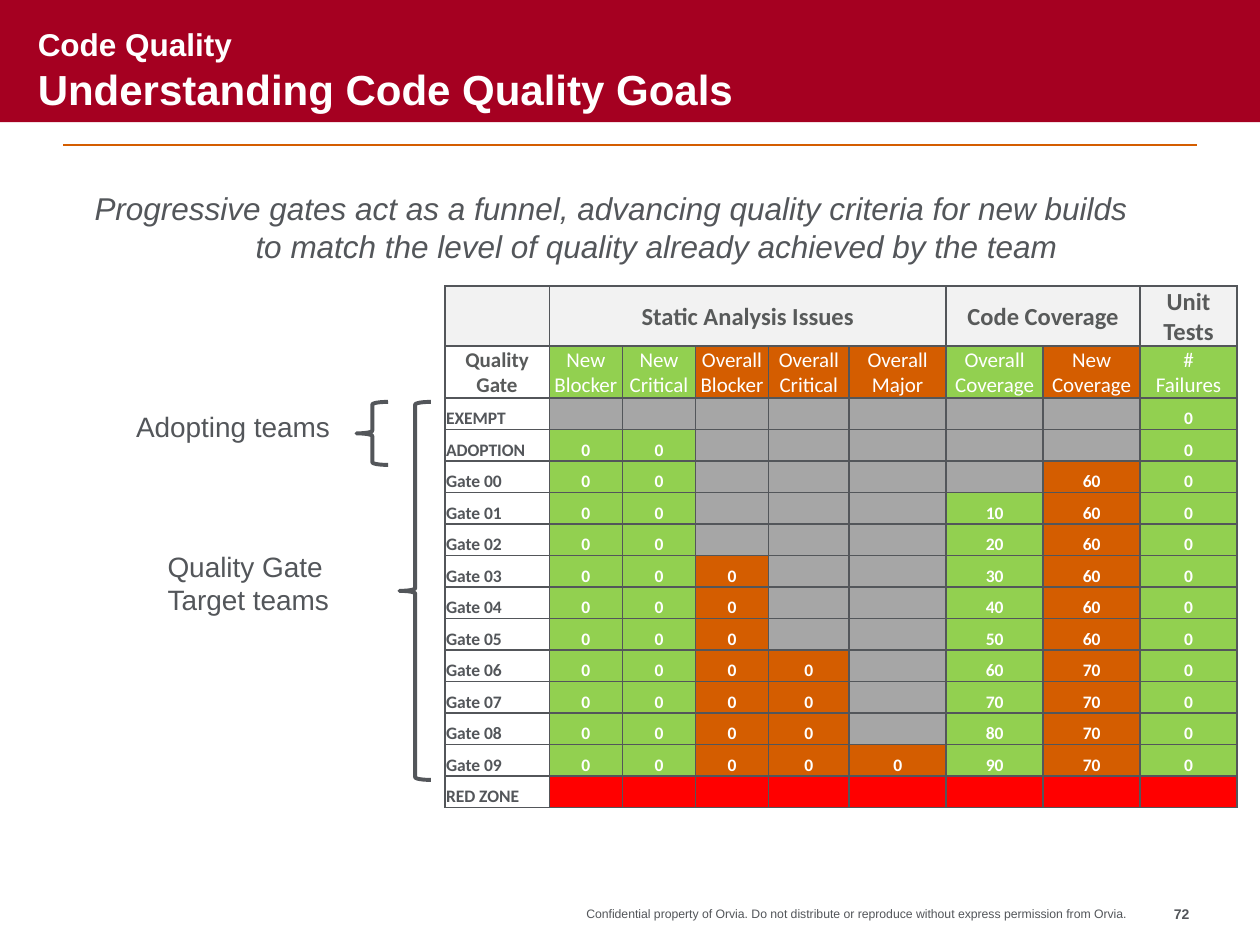
from lxml.etree import SubElement
from pptx import Presentation
from pptx.dml.color import RGBColor
from pptx.enum.shapes import MSO_CONNECTOR, MSO_SHAPE
from pptx.enum.text import MSO_ANCHOR, PP_ALIGN
from pptx.oxml.ns import qn
from pptx.util import Inches, Pt

CRIMSON = RGBColor(0xA5, 0x00, 0x21)
ORANGE = RGBColor(0xD4, 0x5D, 0x00)
GREEN = RGBColor(0x92, 0xD0, 0x50)
RED = RGBColor(0xFF, 0x00, 0x00)
GREY = RGBColor(0xA6, 0xA6, 0xA6)
PALE = RGBColor(0xF2, 0xF2, 0xF2)
WHITE = RGBColor(0xFF, 0xFF, 0xFF)
SLATE = RGBColor(0x53, 0x56, 0x5A)
HEADING = RGBColor(0x58, 0x5A, 0x5A)

COLUMN_WIDTHS = [0.83, 0.58, 0.58, 0.58, 0.64, 0.77, 0.77, 0.77, 0.77]
GROUPS = [(0, 0, ""), (1, 5, "Static Analysis Issues"), (6, 7, "Code Coverage"), (8, 8, "Unit Tests")]
CRITERIA = [
    ("New\nBlocker", GREEN), ("New\nCritical", GREEN), ("Overall\nBlocker", ORANGE),
    ("Overall\nCritical", ORANGE), ("Overall\nMajor", ORANGE), ("Overall\nCoverage", GREEN),
    ("New Coverage", ORANGE), ("#\nFailures", GREEN),
]
LEVELS = ["EXEMPT", "ADOPTION"] + [f"Gate {number:02d}" for number in range(10)]
GOALS = [
    [None] + [0] * 11,
    [None] + [0] * 11,
    [None] * 5 + [0] * 7,
    [None] * 8 + [0] * 4,
    [None] * 11 + [0],
    [None] * 3 + list(range(10, 100, 10)),
    [None] * 2 + [60] * 6 + [70] * 4,
    [0] * 12,
]


def write_text(frame, text, size, color=SLATE, font="Arial", bold=False, italic=False,
               align=PP_ALIGN.LEFT):
    frame.text = text
    for paragraph in frame.paragraphs:
        paragraph.alignment = align
        for run in paragraph.runs:
            run.font.size = Pt(size)
            run.font.name = font
            run.font.bold = bold
            run.font.italic = italic
            run.font.color.rgb = color


def add_text(slide, box, text, size, anchor=MSO_ANCHOR.TOP, **style):
    frame = slide.shapes.add_textbox(*map(Inches, box)).text_frame
    frame.word_wrap = True
    frame.vertical_anchor = anchor
    frame.margin_left = frame.margin_right = frame.margin_top = frame.margin_bottom = 0
    write_text(frame, text, size, **style)
    return frame


def add_banner(slide, box):
    left, top, width, height = box
    band = slide.shapes.add_shape(MSO_SHAPE.RECTANGLE, *map(Inches, box))
    band.shadow.inherit = False
    band.fill.solid()
    band.fill.fore_color.rgb = CRIMSON
    band.line.fill.background()
    title = add_text(slide, (left + 0.3, top + 0.08, 9, height - 0.15),
                     "Code Quality\vUnderstanding Code Quality Goals", 24,
                     MSO_ANCHOR.BOTTOM, color=WHITE, bold=True)
    title.paragraphs[0].runs[0].font.size = Pt(18)


def add_rule(slide, box):
    left, top, width, height = box
    rule = slide.shapes.add_connector(MSO_CONNECTOR.STRAIGHT, Inches(left), Inches(top),
                                      Inches(left + width), Inches(top + height))
    rule.line.color.rgb = ORANGE
    rule.line.width = Pt(1)
    SubElement(rule.line._get_or_add_ln().getparent(), qn("a:effectLst"))


def add_summary(slide, box):
    summary = add_text(slide, box,
                       "Progressive gates act as a funnel, advancing quality criteria for new builds\n"
                       "to match the level of quality already achieved by the team",
                       18, italic=True)
    summary.paragraphs[1].alignment = PP_ALIGN.CENTER


def draw_borders(cell):
    properties = cell._tc.get_or_add_tcPr()
    for position, side in enumerate(("a:lnL", "a:lnR", "a:lnT", "a:lnB")):
        border = properties.makeelement(qn(side), {"w": str(Pt(1))})
        properties.insert(position, border)
        fill = SubElement(border, qn("a:solidFill"))
        SubElement(fill, qn("a:srgbClr"), val=str(SLATE))


def fill_cell(cell, text, fill, size=10, anchor=MSO_ANCHOR.BOTTOM, color=WHITE, bold=True,
              align=PP_ALIGN.CENTER):
    cell.margin_left = cell.margin_right = cell.margin_top = Inches(0.01)
    cell.margin_bottom = 0
    cell.vertical_anchor = anchor
    cell.fill.solid()
    cell.fill.fore_color.rgb = fill
    draw_borders(cell)
    write_text(cell.text_frame, text, size, color=color, font="Calibri", bold=bold, align=align)
    if not text:
        cell.text_frame.paragraphs[0]._p.get_or_add_endParaRPr().set("sz", str(size * 100))


def add_gate_table(slide, box):
    row_heights = [0.44, 0.38] + [0.25] * (len(LEVELS) + 1)
    frame = slide.shapes.add_table(len(row_heights), len(COLUMN_WIDTHS), *map(Inches, box))
    table = frame.table
    table.first_row = table.horz_banding = False
    for column, width in zip(table.columns, COLUMN_WIDTHS):
        column.width = Inches(width)
    for row, height in zip(table.rows, row_heights):
        row.height = Inches(height)

    for first, last, group in GROUPS:
        for column in range(first, last + 1):
            fill_cell(table.cell(0, column), group if column == first else "", PALE, 14,
                      MSO_ANCHOR.MIDDLE, HEADING)
        if last > first:
            table.cell(0, first).merge(table.cell(0, last))

    fill_cell(table.cell(1, 0), "Quality Gate", WHITE, 12, color=HEADING)
    for row, level in enumerate(LEVELS + ["RED ZONE"], 2):
        fill_cell(table.cell(row, 0), level, WHITE, color=SLATE, align=PP_ALIGN.LEFT)

    for column, ((criterion, shade), goals) in enumerate(zip(CRITERIA, GOALS), 1):
        fill_cell(table.cell(1, column), criterion, shade, 12, bold=False)
        for row, goal in enumerate(goals, 2):
            if goal is None:
                fill_cell(table.cell(row, column), "", GREY)
            else:
                fill_cell(table.cell(row, column), str(goal), shade)
        fill_cell(table.cell(len(row_heights) - 1, column), "", RED)


def add_team_bracket(slide, box, label, label_box):
    brace = slide.shapes.add_shape(MSO_SHAPE.LEFT_BRACE, *map(Inches, box))
    brace.shadow.inherit = False
    brace.fill.background()
    brace.line.color.rgb = SLATE
    brace.line.width = Pt(2.25)
    add_text(slide, label_box, label, 16)


def add_footer(slide, box):
    left, top, width, height = box
    add_text(slide, (left, top, 5.32, height),
             "Confidential property of Orvia. Do not distribute or reproduce "
             "without express permission from Orvia.", 7, align=PP_ALIGN.RIGHT)
    add_text(slide, (left + width - 0.5, top, 0.5, height), "72", 8, bold=True,
             align=PP_ALIGN.RIGHT)


def main():
    presentation = Presentation()
    presentation.slide_width = Inches(10)
    presentation.slide_height = Inches(7.5)
    slide = presentation.slides.add_slide(presentation.slide_layouts[6])
    add_rule(slide, (0.5, 1.15, 9, 0))
    add_footer(slide, (3.62, 7.19, 5.82, 0.23))
    add_banner(slide, (0, 0, 10.05, 0.97))
    add_gate_table(slide, (3.53, 2.27, 6.28, 4.15))
    add_team_bracket(slide, (3.17, 3.19, 0.25, 3), "Quality Gate Target teams",
                     (1.33, 4.36, 1.42, 0.67))
    add_team_bracket(slide, (2.83, 3.19, 0.25, 0.5), "Adopting teams", (1.08, 3.25, 1.67, 0.33))
    add_summary(slide, (0.75, 1.5, 8.92, 0.5))
    presentation.save("out.pptx")


if __name__ == "__main__":
    main()
